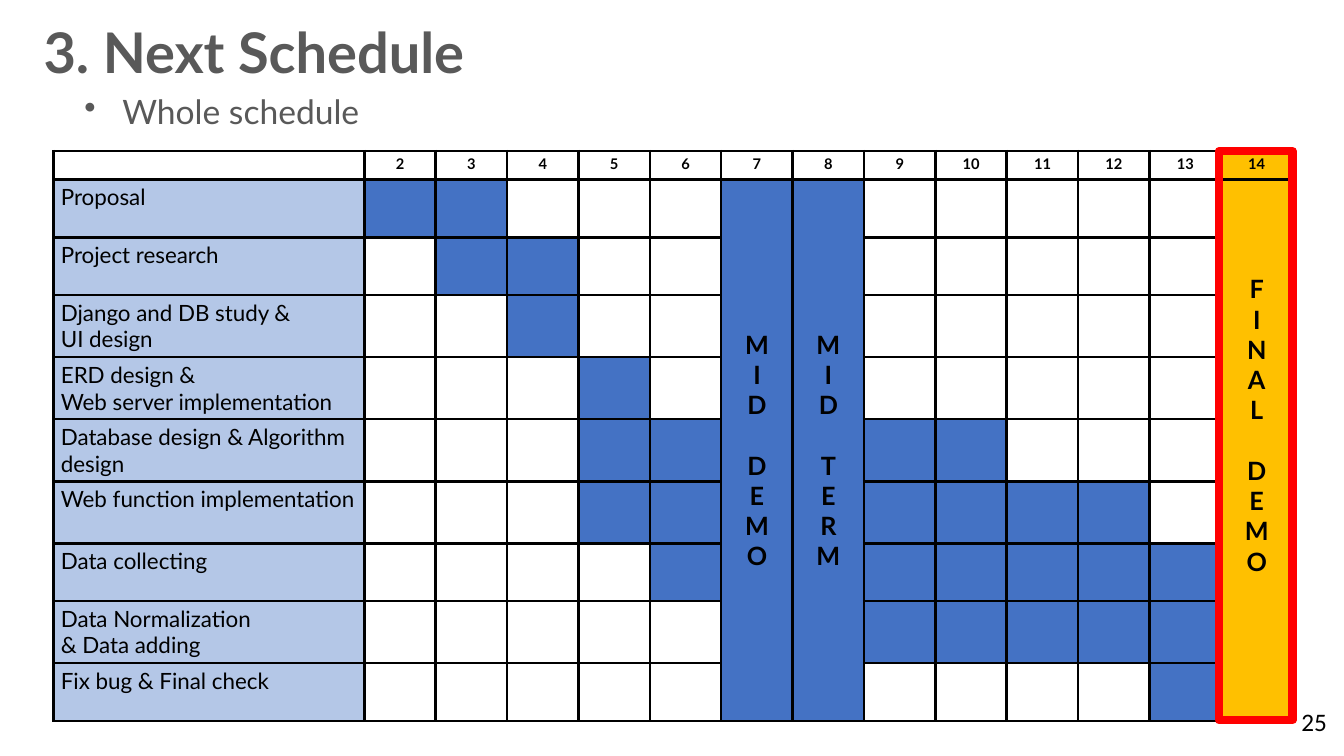
from lxml.etree import SubElement
from pptx import Presentation
from pptx.dml.color import RGBColor
from pptx.enum.shapes import MSO_SHAPE as Shape
from pptx.enum.text import MSO_ANCHOR as Anchor, MSO_AUTO_SIZE as AutoSize, PP_ALIGN as Align
from pptx.oxml.ns import qn
from pptx.util import Emu, Pt

BLACK, WHITE, GRAY, RED = "000000", "FFFFFF", "595959", "FF0000"
BLUE, PALE_BLUE, GOLD = "4472C4", "B4C7E7", "FFC000"
WEEKS = range(2, 15)
LABEL_WIDTH, WEEK_WIDTH = 296, 68
HEADER_HEIGHT, SHORT_ROW, TALL_ROW = 27, 55, 59
THIN, THICK = 1.98, 2.55
THICK_AFTER = (3, 9)
LETTER_GAP = 21.6
TASKS = [
    (["Proposal"], 2, 3, SHORT_ROW),
    (["Project research"], 3, 4, SHORT_ROW),
    (["Django and DB study &", "UI design"], 4, 4, TALL_ROW),
    (["ERD design &", "Web server implementation"], 5, 5, TALL_ROW),
    (["Database design & Algorithm design"], 5, 10, TALL_ROW),
    (["Web function implementation"], 5, 12, TALL_ROW),
    (["Data collecting"], 6, 13, SHORT_ROW),
    (["Data Normalization", "& Data adding"], 9, 13, TALL_ROW),
    (["Fix bug & Final check"], 13, 13, SHORT_ROW),
]
MILESTONES = [
    (7, ("MID", "DEMO"), BLUE, Anchor.MIDDLE, 4),
    (8, ("MID", "TERM"), BLUE, Anchor.MIDDLE, 4),
    (14, ("FINAL", "DEMO"), GOLD, Anchor.TOP, 90),
]


def px(length):
    return Emu(length * 9525)


def color(value):
    return RGBColor.from_string(value)


def style(para, size, ink=BLACK, bold=False, name="Lato", align=Align.LEFT):
    para.alignment = align
    para.font.size = Pt(size)
    para.font.name = name
    para.font.bold = bold
    para.font.color.rgb = color(ink)


def add_text(page, box, text, size, ink, wrap=True, **look):
    frame = page.shapes.add_textbox(*map(px, box)).text_frame
    frame.word_wrap = wrap
    frame.auto_size = AutoSize.SHAPE_TO_FIT_TEXT
    para = frame.paragraphs[0]
    para.text = text
    style(para, size, ink, **look)
    return para


def add_bullet(para, indent):
    props = para._p.get_or_add_pPr()
    props.set("marL", str(px(indent)))
    props.set("indent", str(px(-indent)))
    bullet = SubElement(props, qn("a:buChar"), char="•")
    props.insert(0, bullet)


def add_borders(cell, column):
    props = cell._tc.get_or_add_tcPr()
    left = THICK if column - 1 in THICK_AFTER else THIN
    right = THICK if column in THICK_AFTER else THIN
    for side, width in (("L", left), ("R", right), ("T", THIN), ("B", THIN)):
        line = SubElement(props, qn(f"a:ln{side}"), w=str(Pt(width)))
        fill = SubElement(line, qn("a:solidFill"))
        SubElement(fill, qn("a:srgbClr"), val=BLACK)


def fill_cell(cell, value):
    cell.fill.solid()
    cell.fill.fore_color.rgb = color(value)


def write_cell(cell, lines, size, **look):
    cell.text = "\n".join(lines)
    for para in cell.text_frame.paragraphs:
        style(para, size, **look)


def add_header(table):
    for week in WEEKS:
        write_cell(table.cell(0, week - 1), [str(week)], 10.5, bold=True, align=Align.CENTER)
    corner = table.cell(0, 0).text_frame.paragraphs[0]
    SubElement(corner._p, qn("a:endParaRPr"), sz="1050")
    fill_cell(table.cell(0, WEEKS[-1] - 1), GOLD)


def add_tasks(table):
    for row, (lines, start, end, height) in enumerate(TASKS, 1):
        table.rows[row].height = px(height)
        write_cell(table.cell(row, 0), lines, 16)
        fill_cell(table.cell(row, 0), PALE_BLUE)
        for week in range(start, end + 1):
            fill_cell(table.cell(row, week - 1), BLUE)


def add_milestones(table):
    for week, (first, second), fill, anchor, top in MILESTONES:
        cell = table.cell(1, week - 1)
        cell.merge(table.cell(len(TASKS), week - 1))
        write_cell(cell, first + second, 18, bold=True, align=Align.CENTER)
        cell.text_frame.paragraphs[len(first)].space_before = Pt(LETTER_GAP)
        cell.vertical_anchor = anchor
        cell.margin_top = px(top)
        fill_cell(cell, fill)


def add_schedule(page, box):
    left, top, width, height = box
    rows, columns = len(TASKS) + 1, len(WEEKS) + 1
    table = page.shapes.add_table(rows, columns, *map(px, box)).table
    table.first_row = table.horz_banding = False
    table.rows[0].height = px(HEADER_HEIGHT)
    for column, part in enumerate(table.columns):
        part.width = px(WEEK_WIDTH if column else LABEL_WIDTH)
    for row in range(rows):
        for column in range(columns):
            cell = table.cell(row, column)
            cell.margin_left = cell.margin_right = px(7)
            cell.margin_top = cell.margin_bottom = px(4)
            add_borders(cell, column)
            fill_cell(cell, WHITE)
    add_header(table)
    add_tasks(table)
    add_milestones(table)
    add_highlight(page, (left + width - 70, top, 70, height))


def add_highlight(page, box):
    frame = page.shapes.add_shape(Shape.RECTANGLE, *map(px, box))
    frame.shadow.inherit = False
    frame.fill.background()
    frame.line.color.rgb = color(RED)
    frame.line.width = Pt(6)


def add_schedule_page(deck):
    page = deck.slides.add_slide(deck.slide_layouts[6])
    add_text(page, (32, 12, 722, 74), "3. Next Schedule", 40, GRAY, bold=True)
    subtitle = add_text(page, (71, 82, 1209, 48), "Whole schedule", 24, GRAY)
    add_bullet(subtitle, 36)
    height = HEADER_HEIGHT + sum(task[-1] for task in TASKS)
    width = LABEL_WIDTH + WEEK_WIDTH * len(WEEKS)
    add_schedule(page, (51, 144, width, height))
    add_text(page, (1230, 668, 44, 38), "25", 18, BLACK, wrap=False, name="Calibri")


def main():
    deck = Presentation()
    deck.slide_width, deck.slide_height = px(1280), px(720)
    add_schedule_page(deck)
    deck.save("out.pptx")


if __name__ == "__main__":
    main()
